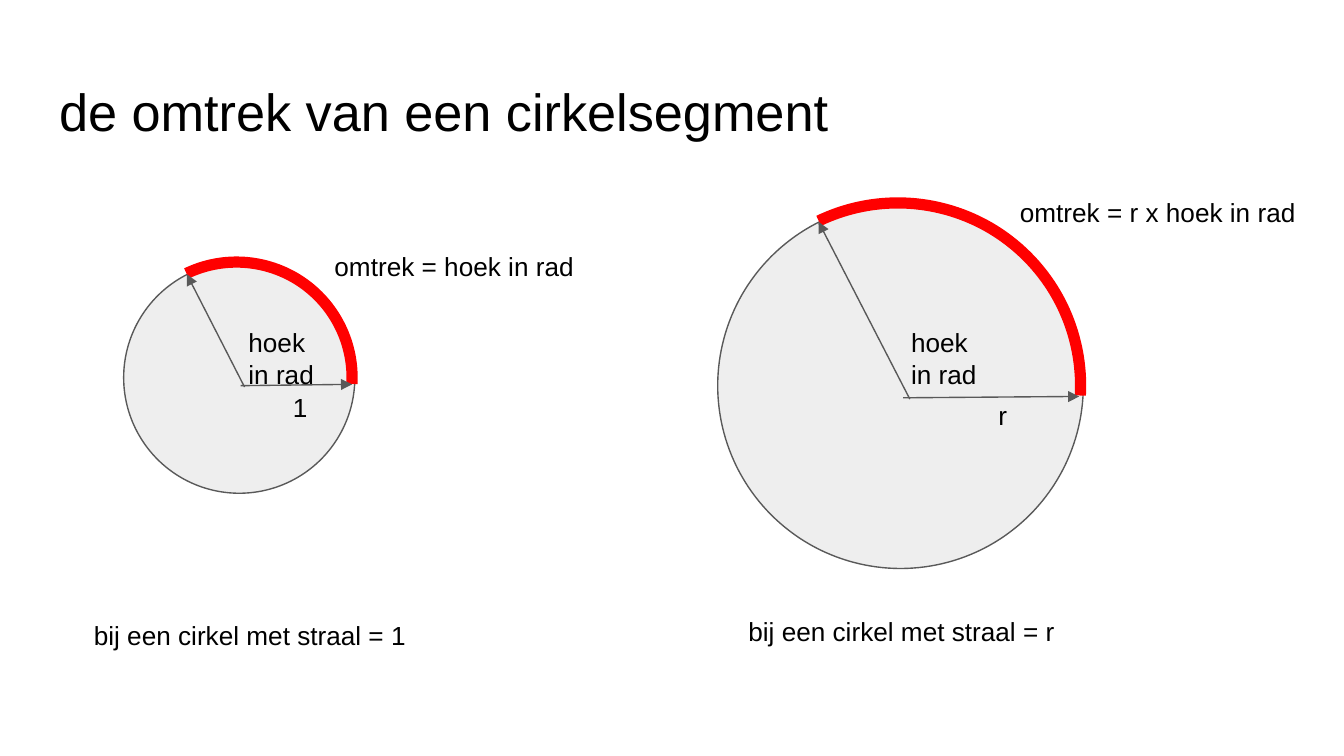
from lxml import etree
from pptx import Presentation
from pptx.dml.color import RGBColor
from pptx.enum.shapes import MSO_CONNECTOR, MSO_SHAPE
from pptx.enum.text import MSO_ANCHOR, MSO_AUTO_SIZE, PP_ALIGN
from pptx.oxml.ns import qn
from pptx.util import Inches, Pt

STRAIGHT = MSO_CONNECTOR.STRAIGHT
OVAL, ARC = MSO_SHAPE.OVAL, MSO_SHAPE.ARC
TOP, LEFT, NO_AUTOFIT = MSO_ANCHOR.TOP, PP_ALIGN.LEFT, MSO_AUTO_SIZE.NONE

BLACK = RGBColor(0x00, 0x00, 0x00)
GRAY = RGBColor(0x59, 0x59, 0x59)
LIGHT_GRAY = RGBColor(0xEE, 0xEE, 0xEE)
RED = RGBColor(0xFF, 0x00, 0x00)

FONT = "Arial"
ARC_ANGLES = (244.35, 3.09)
ADJUSTMENT_PER_DEGREE = 0.6


def set_text(shape, text, size):
    """Write one left-aligned black paragraph into a shape."""
    frame = shape.text_frame
    frame.word_wrap = True
    frame.auto_size = NO_AUTOFIT
    frame.vertical_anchor = TOP
    frame.margin_left = frame.margin_right = Inches(0.1)
    frame.margin_top = frame.margin_bottom = Inches(0.1)
    frame.text = text
    paragraph = frame.paragraphs[0]
    paragraph.alignment = LEFT
    paragraph.font.name = FONT
    paragraph.font.size = Pt(size)
    paragraph.font.color.rgb = BLACK


def add_title(slide, text, left, top, width, height):
    """Place and format the title placeholder."""
    title = slide.shapes.title
    title.left, title.top = Inches(left), Inches(top)
    title.width, title.height = Inches(width), Inches(height)
    set_text(title, text, 28)


def add_label(slide, text, left, top, width):
    """Add a text box for a short label."""
    box = slide.shapes.add_textbox(
        Inches(left), Inches(top), Inches(width), Inches(0.4))
    set_text(box, text, 14)


def add_round(group, kind, left, top, diameter, color, weight):
    """Add an outlined circle or arc in a square box."""
    shape = group.shapes.add_shape(
        kind, Inches(left), Inches(top), Inches(diameter), Inches(diameter))
    shape.shadow.inherit = False
    shape.line.color.rgb = color
    shape.line.width = Pt(weight)
    return shape


def add_arrow(group, start, end):
    """Add a thin gray arrow between two points in inches."""
    arrow = group.shapes.add_connector(
        STRAIGHT, *(Inches(value) for value in start + end))
    arrow.line.color.rgb = GRAY
    arrow.line.width = Pt(0.75)
    line = arrow._element.spPr.find(qn("a:ln"))
    etree.SubElement(line, qn("a:tailEnd"), type="triangle")
    etree.SubElement(arrow._element.spPr, qn("a:effectLst"))


def add_segment(slide, left, top, diameter, radii):
    """Draw a circle with its red arc and two radii as one group."""
    group = slide.shapes.add_group_shape()
    circle = add_round(group, OVAL, left + 0.02, top, diameter, GRAY, 0.75)
    circle.fill.solid()
    circle.fill.fore_color.rgb = LIGHT_GRAY
    arc = add_round(group, ARC, left, top, diameter, RED, 6)
    arc.fill.background()
    for index, angle in enumerate(ARC_ANGLES):
        arc.adjustments[index] = angle * ADJUSTMENT_PER_DEGREE
    for radius in radii:
        start, end = ((left + x, top + y) for x, y in radius)
        add_arrow(group, start, end)


def add_example(slide, box, radii, labels):
    """Add a circle segment and its labels, offset from the box corner."""
    left, top, diameter = box
    add_segment(slide, left, top, diameter, radii)
    for text, x, y, width in labels:
        add_label(slide, text, left + x, top + y, width)


def main():
    """Build and save the slide."""
    presentation = Presentation()
    presentation.slide_width = Inches(10)
    presentation.slide_height = Inches(10) * 9 // 16
    slide = presentation.slides.add_slide(presentation.slide_layouts[5])
    add_title(slide, "de omtrek van een cirkelsegment", 0.34, 0.49, 9.32, 0.63)
    add_example(
        slide, (0.9, 1.95, 1.72),
        (((0.92, 0.93), (0.49, 0.09)), ((0.89, 0.92), (1.72, 0.91))),
        (
            ("1", 1.18, 0.86, 0.81),
            ("omtrek = hoek in rad", 1.49, -0.19, 2.29),
            ("hoek in rad", 0.85, 0.38, 0.81),
            ("bij een cirkel met straal = 1", -0.3, 2.56, 2.8),
        ))
    add_example(
        slide, (5.32, 1.51, 2.72),
        (((1.45, 1.46), (0.77, 0.14)), ((1.4, 1.45), (2.71, 1.44))),
        (
            ("r", 2.01, 1.36, 0.81),
            ("omtrek = r x hoek in rad", 2.17, -0.15, 2.74),
            ("hoek in rad", 1.36, 0.82, 0.81),
            ("bij een cirkel met straal = r", 0.15, 2.97, 2.8),
        ))
    presentation.save("out.pptx")


if __name__ == "__main__":
    main()
